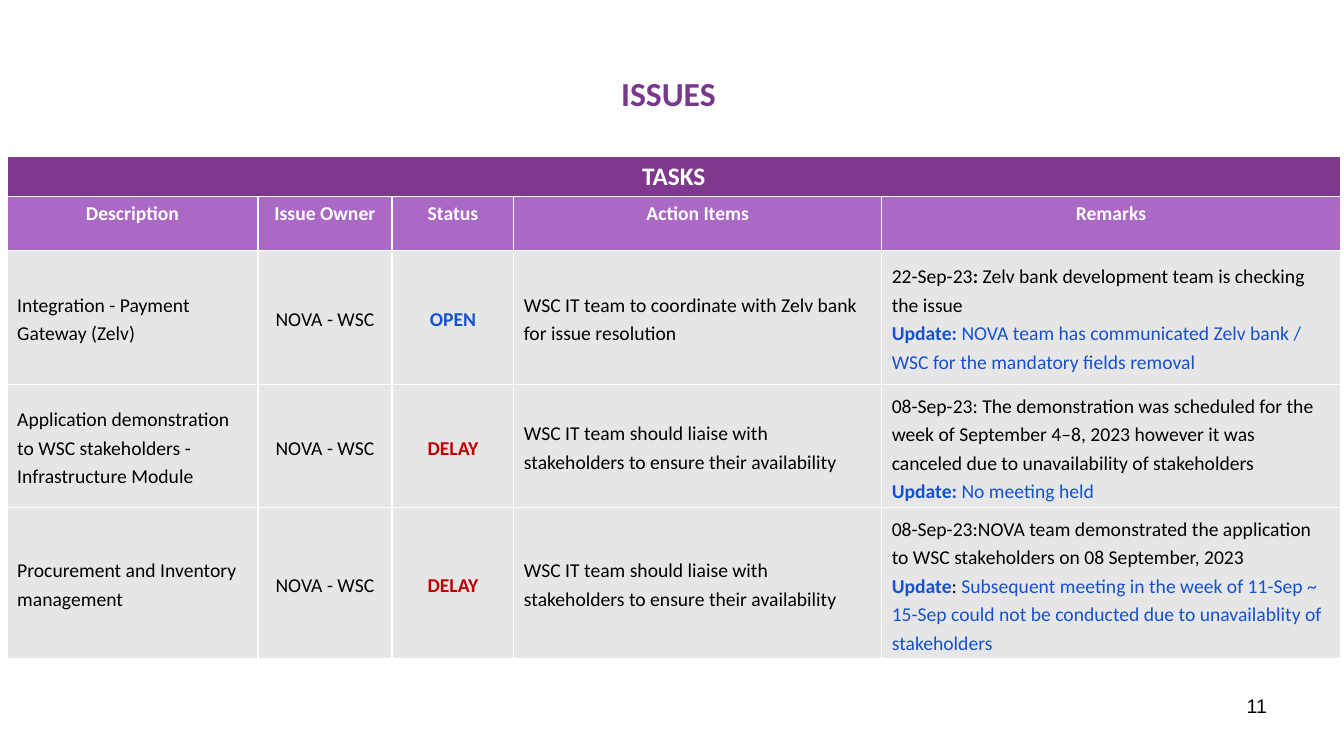
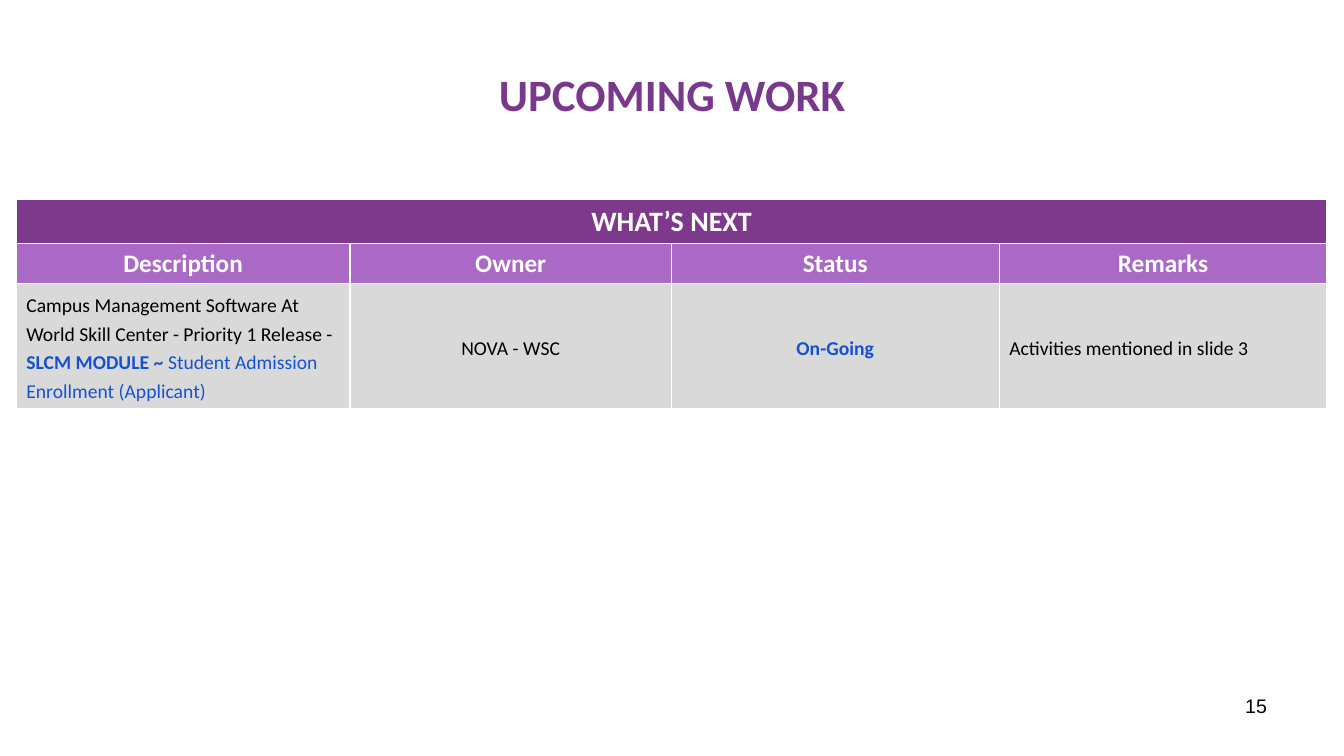
from lxml.etree import SubElement
from pptx import Presentation
from pptx.dml.color import RGBColor
from pptx.enum.text import MSO_ANCHOR, PP_ALIGN
from pptx.oxml.ns import qn
from pptx.util import Cm, Pt

PURPLE, BAND, LILAC = "78398D", "7F398C", "A969C4"
WHITE, BLACK, BLUE, RED = "FFFFFF", "000000", "1552D1", "C00000"
PALE, GREY = "E6E6E6", "D9D9D9"
FONT = "Calibri"
CENTER, LEFT, RIGHT = PP_ALIGN.CENTER, PP_ALIGN.LEFT, PP_ALIGN.RIGHT


def rgb(value):
    return RGBColor.from_string(value)


def write(p, runs, size, align, font=FONT, spacing=None):
    """Fill a paragraph with runs given as (text, colour, bold)."""
    p.alignment = align
    if spacing:
        p.line_spacing = spacing
    for text, color, bold in runs:
        r = p.add_run()
        r.text = text
        r.font.name = font
        r.font.size = Pt(size)
        r.font.bold = bold
        r.font.color.rgb = rgb(color)


def add_text(slide, box, runs, size, align, font=FONT, anchor=MSO_ANCHOR.TOP):
    tf = slide.shapes.add_textbox(*map(Cm, box)).text_frame
    tf.word_wrap = True
    tf.vertical_anchor = anchor
    write(tf.paragraphs[0], runs, size, align, font)


def add_frame(slide, title, size, number):
    """Place the title and the page number."""
    add_text(slide, (1.7, 0.76, 30.48, 3.18), [(title, PURPLE, True)], size,
             CENTER, anchor=MSO_ANCHOR.MIDDLE)
    add_text(slide, (24.28, 17.35, 7.9, 1.32), [(number, BLACK, False)], 14,
             RIGHT, "Arial")


def style_cell(cell, fill):
    """Give a cell its fill and thin white borders."""
    tc_pr = cell._tc.get_or_add_tcPr()
    for side in ("lnL", "lnR", "lnT", "lnB"):
        line = SubElement(tc_pr, qn(f"a:{side}"), w=str(Pt(1)))
        SubElement(SubElement(line, qn("a:solidFill")), qn("a:srgbClr"), val=WHITE)
    cell.fill.solid()
    cell.fill.fore_color.rgb = rgb(fill)


def add_task_table(slide, left, top, widths, heights, band, band_size,
                   headers, header_size, rows, fill):
    """Draw a band row, a header row and body rows of paragraphs of runs."""
    table = slide.shapes.add_table(
        len(heights), len(widths), Cm(left), Cm(top),
        Cm(sum(widths)), Cm(sum(heights))).table
    table.first_row = table.horz_banding = False
    for column, width in zip(table.columns, widths):
        column.width = Cm(width)
    for row, height in zip(table.rows, heights):
        row.height = Cm(height)
    for i, row in enumerate(table.rows):
        for cell in row.cells:
            style_cell(cell, (BAND, LILAC)[i] if i < 2 else fill)

    table.cell(0, 0).merge(table.cell(0, len(widths) - 1))
    write(table.cell(0, 0).text_frame.paragraphs[0], [(band, WHITE, True)],
          band_size, CENTER)
    for j, header in enumerate(headers):
        write(table.cell(1, j).text_frame.paragraphs[0], [(header, WHITE, True)],
              header_size, CENTER)
    for i, row in enumerate(rows, 2):
        for j, paragraphs in enumerate(row):
            cell = table.cell(i, j)
            cell.vertical_anchor = MSO_ANCHOR.MIDDLE
            tf = cell.text_frame
            for k, runs in enumerate(paragraphs):
                p = tf.add_paragraph() if k else tf.paragraphs[0]
                write(p, runs, 14, CENTER if j in (1, 2) else LEFT, spacing=1.2)


def plain(text):
    return [[(text, BLACK, False)]]


def status(text, color):
    return [[(text, color, True)]]


def remark(text, update):
    return plain(text) + [[("Update: ", BLUE, True), (update, BLUE, False)]]


OWNER = plain("NOVA - WSC")
LIAISE = plain("WSC IT team should liaise with stakeholders to ensure their availability")


def issues_slide(slide):
    add_frame(slide, "ISSUES ", 24, "11")
    rows = [
        [plain("Integration - Payment Gateway (Zelv)"), OWNER, status("OPEN", BLUE),
         plain("WSC IT team to coordinate with Zelv bank for issue resolution"),
         [[("22-Sep-23", BLACK, False), (": ", BLACK, True),
           ("Zelv bank development team is checking the issue", BLACK, False)],
          [("Update: ", BLUE, True),
           ("NOVA team has communicated Zelv bank / WSC for the mandatory "
            "fields removal", BLUE, False)]]],
        [plain("Application demonstration to WSC stakeholders - Infrastructure Module"),
         OWNER, status("DELAY", RED), LIAISE,
         remark("08-Sep-23: The demonstration was scheduled for the week of "
                "September 4–8, 2023 however it was canceled due to "
                "unavailability of stakeholders", "No meeting held")],
        [plain("Procurement and Inventory management"),
         OWNER, status("DELAY", RED), LIAISE,
         plain("08-Sep-23:NOVA team demonstrated the application to WSC "
               "stakeholders on 08 September, 2023")
         + [[("Update", BLUE, True), (": ", BLACK, False),
             ("Subsequent meeting in the week of 11-Sep ~ 15-Sep could not be "
              "conducted due to unavailablity of stakeholders", BLUE, False)]]],
    ]
    add_task_table(
        slide, 0.18, 3.94, (6.32, 3.38, 3.07, 9.27, 11.56),
        (1.02, 1.35, 3.38, 3.1, 3.81), "TASKS", 18,
        ("Description", "Issue Owner", "Status", "Action Items", "Remarks"), 14,
        rows, PALE)


def upcoming_slide(slide):
    add_frame(slide, "UPCOMING WORK", 32, "15")
    description = [[
        ("Campus Management Software At World Skill Center - Priority 1 Release - ",
         BLACK, False),
        ("SLCM MODULE ~ ", BLUE, True),
        ("Student Admission Enrollment (Applicant)", BLUE, False)]]
    add_task_table(
        slide, 0.41, 5.03, (8.41, 8.1, 8.26, 8.26), (1.09, 1.02, 3.15),
        "WHAT’S NEXT", 20, ("Description", "Owner", "Status", "Remarks"), 18,
        [[description, OWNER, status("On-Going", BLUE),
          plain("Activities mentioned in slide 3")]], GREY)


def main():
    prs = Presentation()
    prs.slide_width, prs.slide_height = Cm(33.87), Cm(19.05)
    for build in (issues_slide, upcoming_slide):
        build(prs.slides.add_slide(prs.slide_layouts[6]))
    prs.save("out.pptx")


if __name__ == "__main__":
    main()
